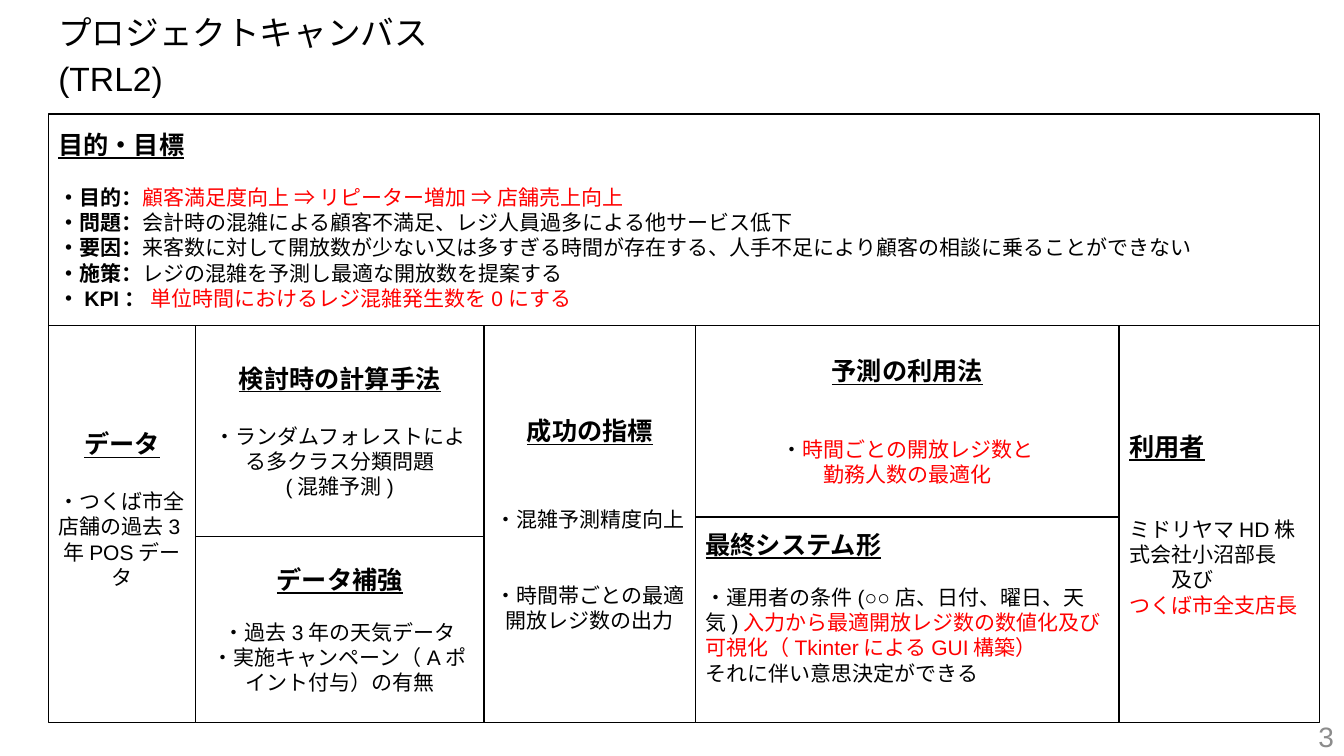
"""Build the project canvas slide: a goal banner above five columns of boxes."""
from pptx import Presentation
from pptx.dml.color import RGBColor
from pptx.enum.shapes import MSO_SHAPE
from pptx.enum.text import MSO_ANCHOR, PP_ALIGN
from pptx.util import Inches, Pt

THEME = {
    "font": "Arial", "title": 24, "head": 18, "body": 15, "page": 20,
    "black": RGBColor(0, 0, 0), "red": RGBColor(255, 0, 0),
    "grey": RGBColor(0x8C, 0x8C, 0x8C), "white": RGBColor(255, 255, 255),
    "line": 1, "leading": 1.2, "title_leading": 33,
}
PLAIN, BOLD, RED = "plain", "bold", "red"
LEFT, CENTER, RIGHT = PP_ALIGN.LEFT, PP_ALIGN.CENTER, PP_ALIGN.RIGHT

COLS = [0.48, 1.94, 4.8, 6.9, 11.1, 13.09]
ROWS = {"top": 1.13, "mid": 3.23, "use": 5.13, "calc": 5.32, "end": 7.17}

TITLE = "プロジェクトキャンバス\v(TRL2)"
PAGE = "3"
GOALS = [
    ("・目的：", "顧客満足度向上 ⇒ リピーター増加 ⇒ 店舗売上向上", RED),
    ("・問題：", "会計時の混雑による顧客不満足、レジ人員過多による他サービス低下", PLAIN),
    ("・要因：", "来客数に対して開放数が少ない又は多すぎる時間が存在する、"
     "人手不足により顧客の相談に乗ることができない", PLAIN),
    ("・施策：", "レジの混雑を予測し最適な開放数を提案する", PLAIN),
    ("・KPI： ", "単位時間におけるレジ混雑発生数を0にする", RED),
]
# noqa
BOXES = [
    {"head": "目的・目標", "cols": (0, 5), "rows": ("top", "mid"), "align": LEFT, "gap": 15,
     "body": [[(label, BOLD), (text, style)] for label, text, style in GOALS]},
    {"head": "データ", "cols": (0, 1), "rows": ("mid", "end"), "align": CENTER, "gap": 18,
     "tail": 18, "body": [[("・つくば市全店舗の過去3年POSデータ", PLAIN)]]},
    {"head": "検討時の計算手法", "cols": (1, 2), "rows": ("mid", "calc"), "align": CENTER, "gap": 18,
     "body": [[("・ランダムフォレストによる多クラス分類問題", PLAIN)], [("(混雑予測)", PLAIN)]]},
    {"head": "データ補強", "cols": (1, 2), "rows": ("calc", "end"), "align": CENTER, "gap": 15,
     "body": [[("・過去3年の天気データ", PLAIN)],
              [("・実施キャンペーン（Aポイント付与）の有無", PLAIN)]]},
    {"head": "成功の指標", "cols": (2, 3), "rows": ("mid", "end"), "align": CENTER, "gap": 36,
     "between": 30, "body": [[("・混雑予測精度向上", PLAIN)],
                             [("・時間帯ごとの最適開放レジ数の出力", PLAIN)]]},
    {"head": "予測の利用法", "cols": (3, 4), "rows": ("mid", "use"), "align": CENTER, "gap": 30,
     "body": [[("・", PLAIN), ("時間ごとの開放レジ数と", RED)], [("勤務人数の最適化", RED)]]},
    {"head": "利用者", "cols": (4, 5), "rows": ("mid", "end"), "align": LEFT, "gap": 33,
     "indent": {1: 30}, "body": [[("ミドリヤマHD株式会社小沼部長", PLAIN)],
                                 [("及び", PLAIN)], [("つくば市全支店長", RED)]]},
    {"head": "最終システム形", "cols": (3, 4), "rows": ("use", "end"), "align": LEFT, "gap": 15,
     "tail": 15, "body": [[("・運用者の条件(○○店、日付、曜日、天気)", PLAIN),
                           ("入力から最適開放レジ数の数値化及び可視化（TkinterによるGUI構築）", RED)],
                          [("それに伴い意思決定ができる", PLAIN)]]},
]


def style_run(r, size, color, bold=False, underline=False):
    f = r.font
    f.name, f.size, f.bold, f.underline = THEME["font"], Pt(THEME[size]), bold, underline
    f.color.rgb = THEME[color]


def add_label(s, text, box, size, color, align):
    tf = s.shapes.add_textbox(*map(Inches, box)).text_frame
    tf.word_wrap, tf.vertical_anchor = True, MSO_ANCHOR.MIDDLE
    tf.text = text
    p = tf.paragraphs[0]
    p.alignment = align
    for r in p.runs:
        style_run(r, size, color)
    return p


def add_box(s, box):
    (c0, c1), (r0, r1) = box["cols"], box["rows"]
    x, y = COLS[c0], ROWS[r0]
    sp = s.shapes.add_shape(MSO_SHAPE.RECTANGLE, *map(Inches, (x, y, COLS[c1] - x, ROWS[r1] - y)))
    sp.shadow.inherit = False
    sp.fill.solid()
    sp.fill.fore_color.rgb = THEME["white"]
    sp.line.color.rgb = THEME["black"]
    sp.line.width = Pt(THEME["line"])
    tf = sp.text_frame
    tf.word_wrap, tf.vertical_anchor = True, MSO_ANCHOR.MIDDLE
    tf.margin_bottom = Inches(0.05) + Pt(THEME["leading"] * box.get("tail", 0))
    p = tf.paragraphs[0]
    p.text, p.alignment = box["head"], box["align"]
    style_run(p.runs[0], "head", "black", True, True)
    for i, runs in enumerate(box["body"]):
        p = tf.add_paragraph()
        p.alignment = box["align"]
        p.space_before = Pt(THEME["leading"] * (box.get("between", 0) if i else box["gap"]))
        if i in box.get("indent", {}):
            p._p.get_or_add_pPr().set("marL", str(Pt(box["indent"][i])))
        for text, style in runs:
            r = p.add_run()
            r.text = text
            style_run(r, "body", "red" if style == RED else "black", style == BOLD)


prs = Presentation()
prs.slide_width, prs.slide_height = Inches(13.33), Inches(7.5)
s = prs.slides.add_slide(prs.slide_layouts[6])
title = add_label(s, TITLE, (0.48, 0.11, 5.23, 0.81), "title", "black", LEFT)
title.line_spacing = Pt(THEME["title_leading"])
for box in BOXES:
    add_box(s, box)
add_label(s, PAGE, (10.33, 7.1, 3, 0.4), "page", "grey", RIGHT)
prs.save("out.pptx")
